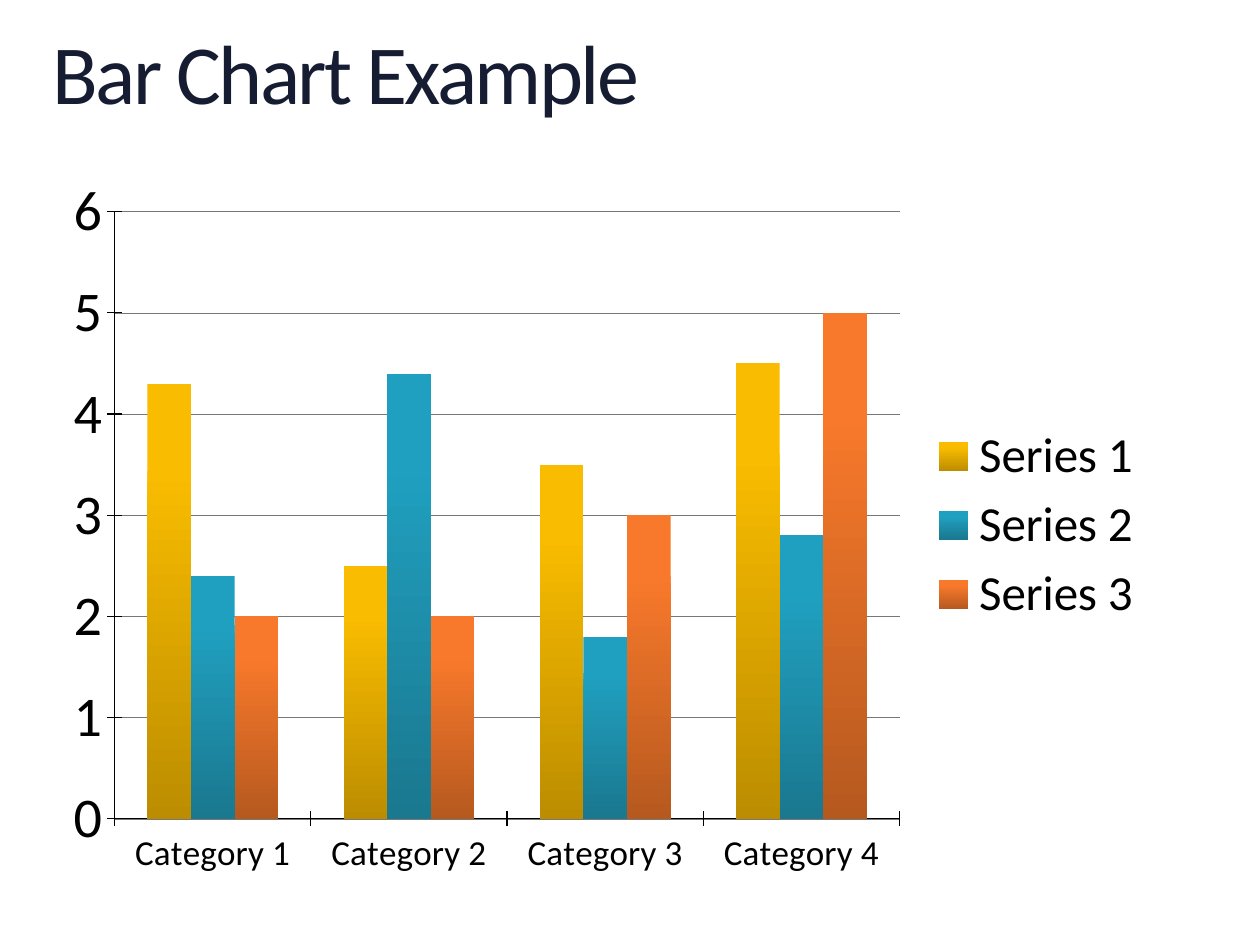
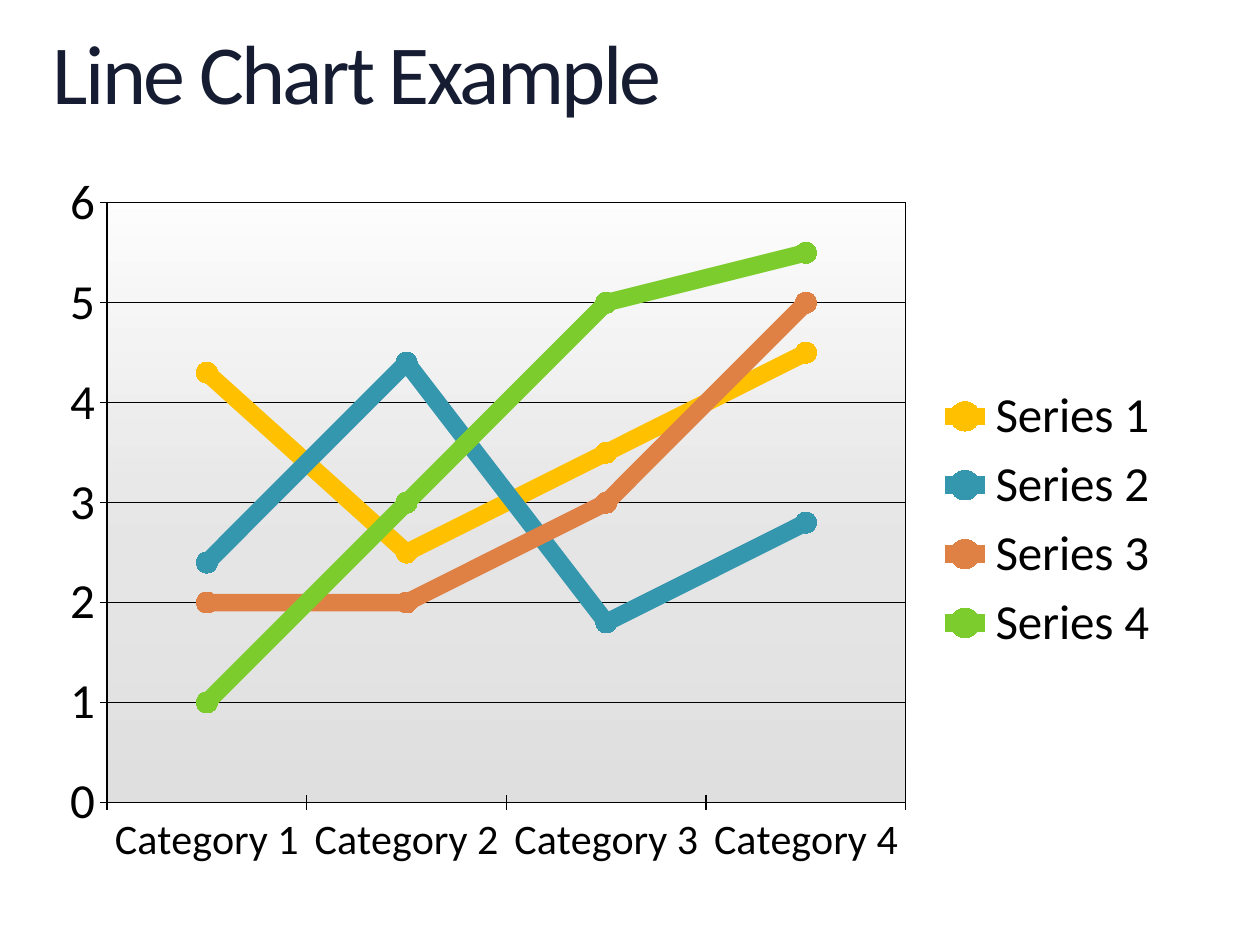
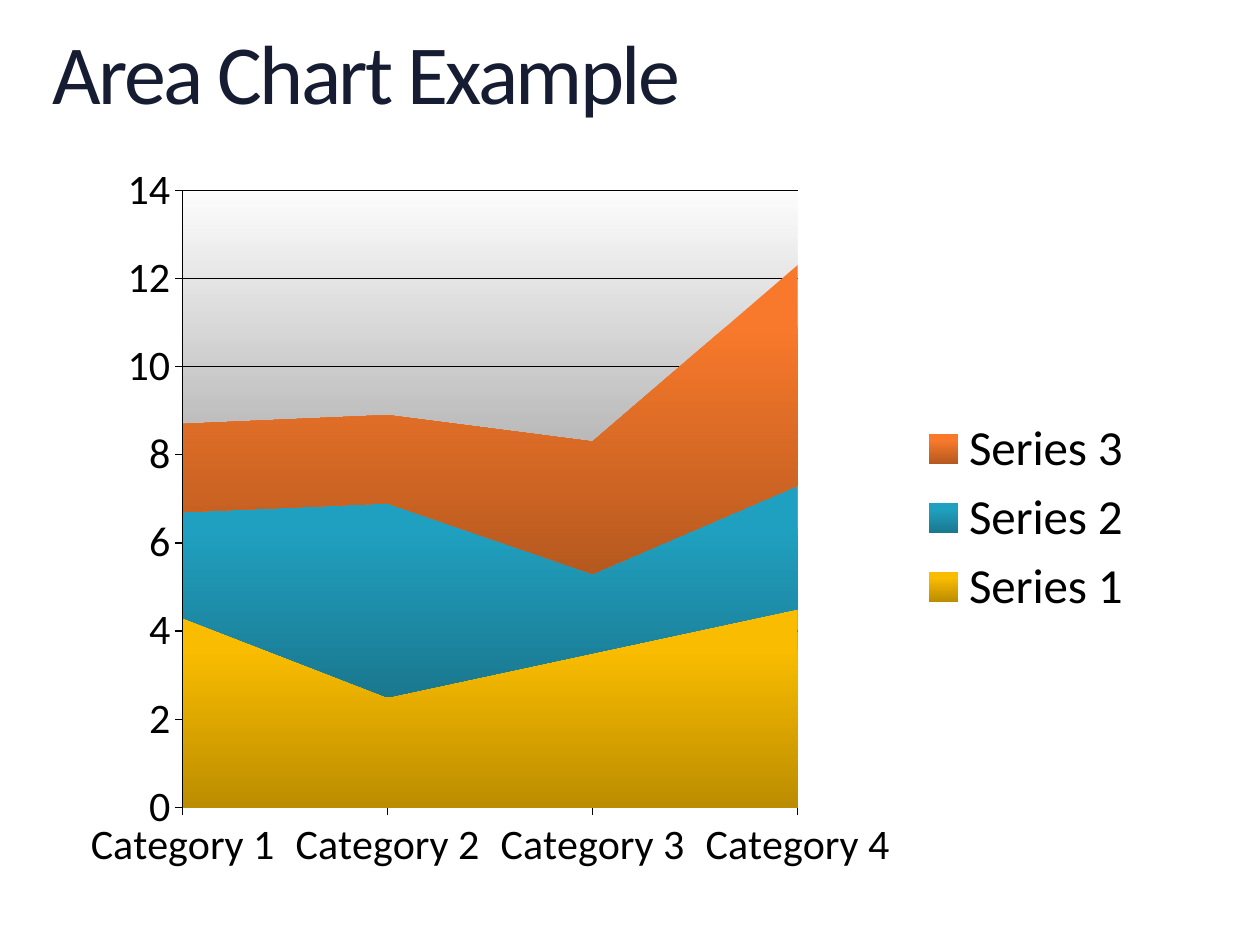
"""Build three slides showing a bar, a line and an area chart."""
import lxml.etree
import pptx
import pptx.chart.data
import pptx.dml.color
import pptx.enum.chart
import pptx.enum.text
import pptx.oxml.ns
import pptx.util

WIDTH, HEIGHT = 10, 7.5
FONT = "Calibri"
COLOURS = {
    "page": "FFFFFF", "ink": "000000", "grid": "777777",
    "title_top": "2E59B0", "title_middle": "161D32",
    "yellow": "FFC000", "teal": "3497AE", "orange": "DF8045", "green": "7DCC2E",
    "yellow_light": "F9BC00", "yellow_dark": "BC8D00",
    "teal_light": "20A0C0", "teal_dark": "1A788F",
    "orange_light": "F8792B", "orange_dark": "B6591F",
}
TITLE_BOX = (0.42, 0.25, 9.17, 0.73)
TITLE_STOPS = [(0, "title_top", 100), (49, "title_middle", 100), (100, "ink", 100)]
CATEGORIES = ["Category 1", "Category 2", "Category 3", "Category 4"]
SERIES = [
    ("Series 1", "yellow", (4.3, 2.5, 3.5, 4.5)),
    ("Series 2", "teal", (2.4, 4.4, 1.8, 2.8)),
    ("Series 3", "orange", (2, 2, 3, 5)),
    ("Series 4", "green", (1, 3, 5, 5.5)),
]
TYPES = pptx.enum.chart.XL_CHART_TYPE
SLIDES = [
    {"title": "Bar Chart Example", "type": TYPES.COLUMN_CLUSTERED, "series": 3,
     "frame": (0.42, 1.29, 8.78, 5.76), "plot": (0.91, 1.68, 6.23, 4.82),
     "sizes": (20, 32), "scale": (6, 1), "grid": ("grid", 0.25),
     "backdrop": None, "border": False},
    {"title": "Line Chart Example", "type": TYPES.LINE_MARKERS, "series": 4,
     "frame": (0.38, 1.26, 8.95, 5.73), "plot": (0.85, 1.61, 6.34, 4.76),
     "sizes": (24, 28), "scale": (6, 1), "grid": ("ink", 0.75),
     "backdrop": ([(0, "ink", 0), (50, "ink", 9), (100, "ink", 12)], 90), "border": True},
    {"title": "Area Chart Example", "type": TYPES.AREA_STACKED, "series": 3,
     "frame": (0.56, 1.19, 8.56, 5.84), "plot": (1.45, 1.51, 4.88, 4.9),
     "sizes": (24, 24), "scale": (14, 2), "grid": ("ink", 0.75),
     "backdrop": ([(0, "ink", 81), (51, "ink", 33), (100, "ink", 0)], 270), "border": False},
]


def colour(name):
    return pptx.dml.color.RGBColor.from_string(COLOURS[name])


def inches(lengths):
    return [pptx.util.Inches(length) for length in lengths]


def add_element(parent, tag, **attributes):
    element = lxml.etree.SubElement(parent, pptx.oxml.ns.qn(tag))
    for key, value in attributes.items():
        element.set(key, str(value))
    return element


def add_gradient(parent, stops, angle):
    gradient = add_element(parent, "a:gradFill", rotWithShape=1)
    parent.insert(0, gradient)
    stop_list = add_element(gradient, "a:gsLst")
    for position, name, opacity in stops:
        stop = add_element(stop_list, "a:gs", pos=position * 1000)
        shade = add_element(stop, "a:srgbClr", val=COLOURS[name])
        if opacity < 100:
            add_element(shade, "a:alpha", val=opacity * 1000)
    add_element(gradient, "a:lin", ang=angle * 60000, scaled=0)


def style_font(font, size):
    font.name = FONT
    font.size = pptx.util.Pt(size)
    font.bold = False
    font.color.rgb = colour("ink")


def style_line(line, name, width):
    line.color.rgb = colour(name)
    line.width = pptx.util.Pt(width)


def add_title(page, text):
    box = page.shapes.add_textbox(*inches(TITLE_BOX))
    frame = box.text_frame
    frame.word_wrap = True
    frame.auto_size = pptx.enum.text.MSO_AUTO_SIZE.SHAPE_TO_FIT_TEXT
    frame.margin_left = frame.margin_right = frame.margin_top = frame.margin_bottom = 0
    para = frame.paragraphs[0]
    para.line_spacing = 0.9
    span = para.add_run()
    span.text = text
    span.font.name = FONT
    span.font.size = pptx.util.Pt(48)
    properties = span.font._element
    properties.set("spc", "-150")
    add_gradient(properties, TITLE_STOPS, 90)


def place_plot(chart, frame, plot):
    area = chart._chartSpace.chart.plotArea
    for old in area.findall(pptx.oxml.ns.qn("c:layout")):
        area.remove(old)
    layout = add_element(area, "c:layout")
    area.insert(0, layout)
    manual = add_element(layout, "c:manualLayout")
    add_element(manual, "c:layoutTarget", val="inner")
    for axis in "xy":
        add_element(manual, f"c:{axis}Mode", val="edge")
    left, top, width, height = frame
    shares = {"x": (plot[0] - left) / width, "y": (plot[1] - top) / height,
              "w": plot[2] / width, "h": plot[3] / height}
    for key, share in shares.items():
        add_element(manual, f"c:{key}", val=round(share, 4))


def fill_plot(chart, backdrop, border):
    properties = add_element(chart._chartSpace.chart.plotArea, "c:spPr")
    if backdrop:
        add_gradient(properties, *backdrop)
    else:
        add_element(properties, "a:noFill")
    line = add_element(properties, "a:ln", w=9525)
    if border:
        fill = add_element(line, "a:solidFill")
        add_element(fill, "a:srgbClr", val=COLOURS["ink"])
    else:
        add_element(line, "a:noFill")


def style_axes(chart, content):
    for axis, size in zip((chart.category_axis, chart.value_axis), content["sizes"]):
        style_font(axis.tick_labels.font, size)
        style_line(axis.format.line, "ink", 0.75)
        axis.major_tick_mark = pptx.enum.chart.XL_TICK_MARK.CROSS
        axis.minor_tick_mark = pptx.enum.chart.XL_TICK_MARK.NONE
    chart.category_axis.has_major_gridlines = False
    values = chart.value_axis
    values.minimum_scale = 0
    values.maximum_scale, values.major_unit = content["scale"]
    values.has_major_gridlines = True
    style_line(values.major_gridlines.format.line, *content["grid"])


def style_series(series, name, is_line):
    if is_line:
        series.smooth = False
        style_line(series.format.line, name, 10)
        series.marker.style = pptx.enum.chart.XL_MARKER_STYLE.CIRCLE
        series.marker.size = 12
        series.marker.format.fill.solid()
        series.marker.format.fill.fore_color.rgb = colour(name)
        series.marker.format.line.fill.background()
    else:
        light, dark = f"{name}_light", f"{name}_dark"
        series.format.line.fill.background()
        add_gradient(series._element.get_or_add_spPr(),
                     [(0, light, 100), (20, light, 100), (100, dark, 100)], 90)


def add_chart(page, content):
    rows = SERIES[:content["series"]]
    data = pptx.chart.data.CategoryChartData()
    data.categories = CATEGORIES
    for label, _, values in rows:
        data.add_series(label, values)
    chart = page.shapes.add_chart(content["type"], *inches(content["frame"]), data).chart
    chart.has_title = False
    style_font(chart.font, 18)
    chart.has_legend = True
    chart.legend.position = pptx.enum.chart.XL_LEGEND_POSITION.RIGHT
    chart.legend.include_in_layout = False
    style_font(chart.legend.font, 28)
    style_axes(chart, content)
    plot = chart.plots[0]
    plot.vary_by_categories = False
    if content["type"] == TYPES.COLUMN_CLUSTERED:
        plot.gap_width, plot.overlap = 150, 0
    for series, (_, name, _) in zip(plot.series, rows):
        style_series(series, name, content["type"] == TYPES.LINE_MARKERS)
    place_plot(chart, content["frame"], content["plot"])
    fill_plot(chart, content["backdrop"], content["border"])


deck = pptx.Presentation()
deck.slide_width, deck.slide_height = inches((WIDTH, HEIGHT))
for content in SLIDES:
    page = deck.slides.add_slide(deck.slide_layouts[6])
    page.background.fill.solid()
    page.background.fill.fore_color.rgb = colour("page")
    add_title(page, content["title"])
    add_chart(page, content)
deck.save("out.pptx")
